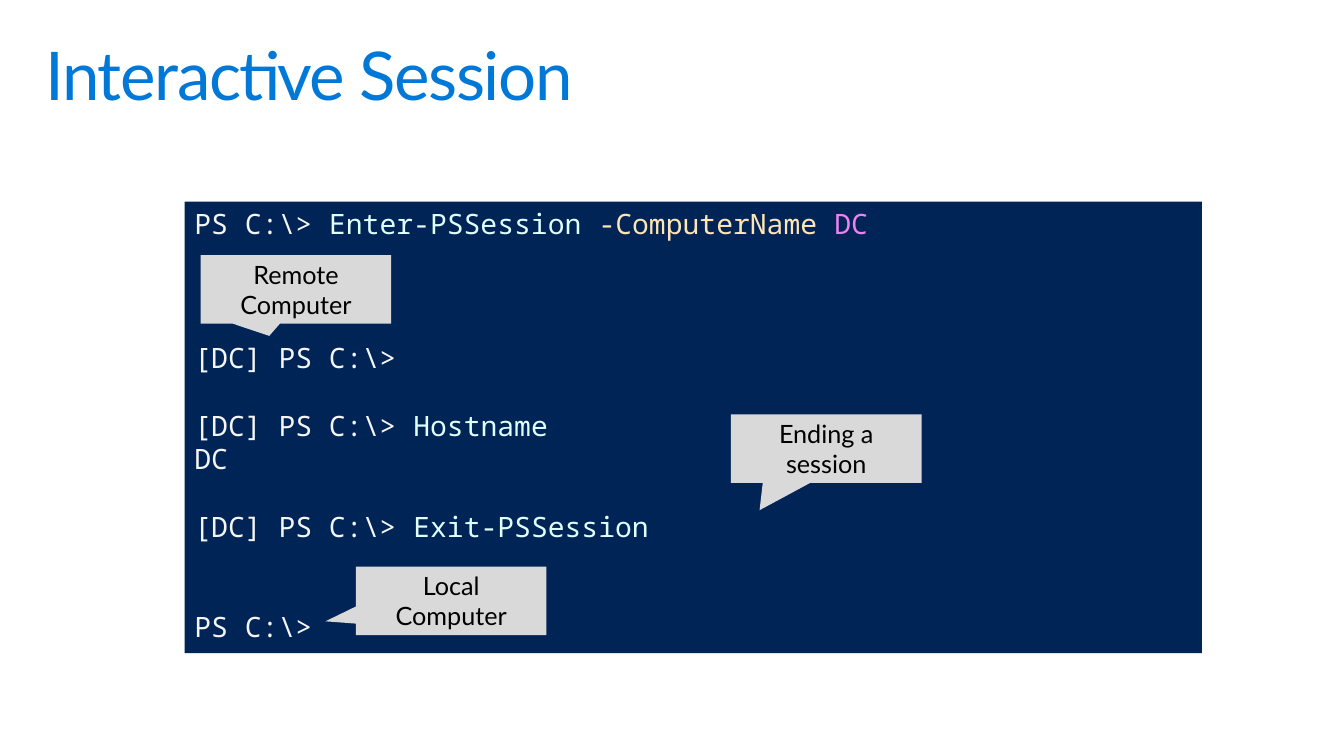
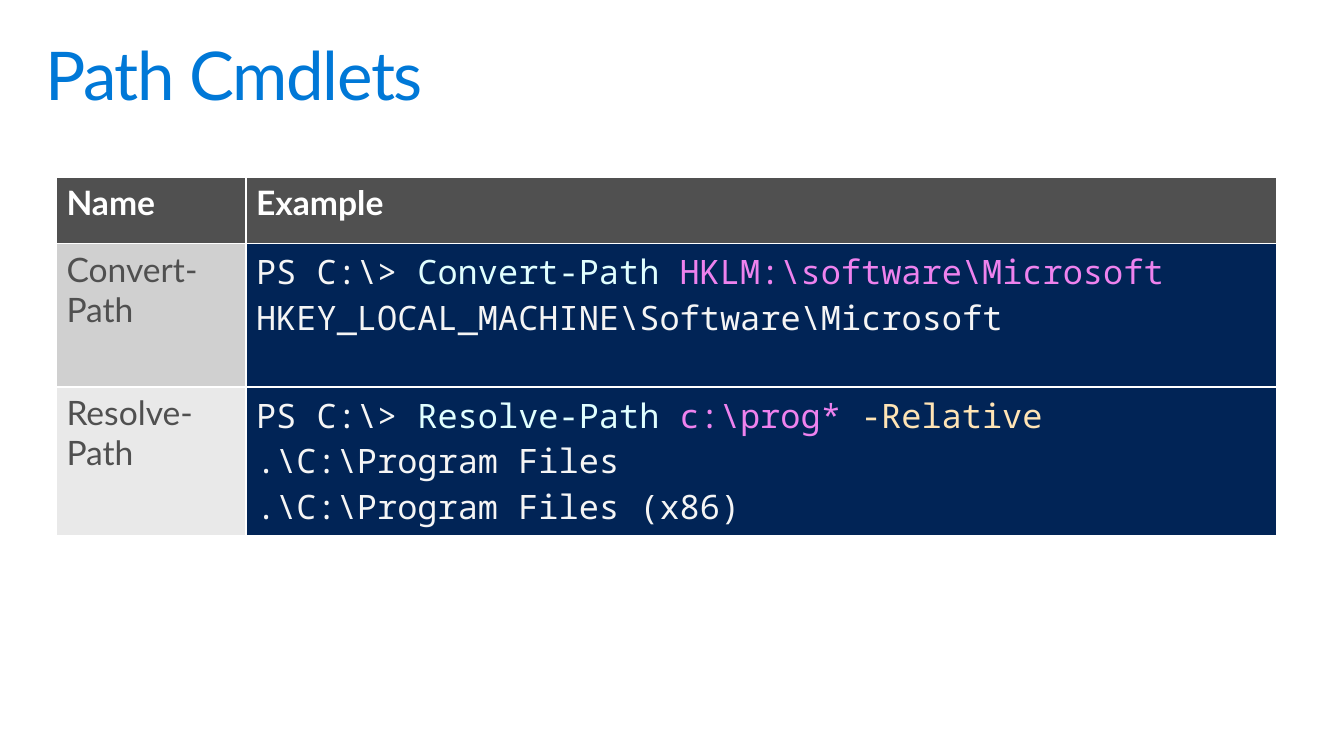
from dataclasses import dataclass
from typing import NamedTuple

from lxml import etree
from pptx import Presentation
from pptx.dml.color import RGBColor
from pptx.enum.shapes import MSO_SHAPE
from pptx.enum.text import MSO_ANCHOR, PP_ALIGN
from pptx.oxml.ns import qn
from pptx.util import Pt

RECT = MSO_SHAPE.RECTANGLE
CALLOUT = MSO_SHAPE.RECTANGULAR_CALLOUT
TOP, MIDDLE = MSO_ANCHOR.TOP, MSO_ANCHOR.MIDDLE
LEFT, CENTER = PP_ALIGN.LEFT, PP_ALIGN.CENTER

PX = 9144
SANS, MONO = "Lato", "Noto Sans Mono"
STEP = 24
TITLE_ONLY = 5
COLORS = {
    "title": "0078D7",
    "shell": "012456",
    "plain": "F5F5F5",
    "verb": "E0FFFF",
    "flag": "FFE4B5",
    "value": "EE82EE",
    "note": "D9D9D9",
    "black": "000000",
    "white": "FFFFFF",
    "gray": "505050",
    "band": "D0D0D0",
    "pale": "E9E9E9",
}


class Run(NamedTuple):
    text: str
    color: str = "plain"


@dataclass
class Line:
    runs: list[Run]
    blank: int = 0


@dataclass
class Note:
    text: str
    left: int
    top: int
    tip: tuple[float, float]


@dataclass
class Row:
    name: str
    fill: str
    height: int
    code: list[Line]


PROMPT = Run("PS C:\\> ")
REMOTE = Run("[DC] PS C:\\> ")

SESSION = [
    Line([PROMPT, Run("Enter-PSSession ", "verb"),
          Run("-ComputerName ", "flag"), Run("DC", "value")]),
    Line([Run("[DC] PS C:\\>")], blank=3),
    Line([REMOTE, Run("Hostname", "verb")], blank=1),
    Line([Run("DC")]),
    Line([REMOTE, Run("Exit-PSSession", "verb")], blank=1),
    Line([Run("PS C:\\>")], blank=2),
]
NOTES = [
    Note("Local Computer", 353, 562, (-0.66, 0.3)),
    Note("Remote Computer", 199, 253, (-0.14, 0.68)),
    Note("Ending a session", 725, 411, (-0.35, 0.9)),
]
ROWS = [
    Row("Convert-Path", "band", 142, [
        Line([PROMPT, Run("Convert-Path ", "verb"),
              Run("HKLM:\\software\\Microsoft", "value")]),
        Line([Run("HKEY_LOCAL_MACHINE\\Software\\Microsoft")]),
    ]),
    Row("Resolve-Path", "pale", 147, [
        Line([PROMPT, Run("Resolve-Path ", "verb"),
              Run("c:\\prog* ", "value"), Run("-Relative", "flag")]),
        Line([Run(".\\C:\\Program Files")]),
        Line([Run(".\\C:\\Program Files (x86)")]),
    ]),
]


def px(*sizes: int) -> list[int]:
    return [size * PX for size in sizes]


def rgb(name: str) -> RGBColor:
    return RGBColor.from_string(COLORS[name])


def paint(item, name: str) -> None:
    item.fill.solid()
    item.fill.fore_color.rgb = rgb(name)


def one(text: str, color: str) -> list[Line]:
    return [Line([Run(text, color)])]


def write(frame, lines: list[Line], *, size: int, font: str = SANS,
          bold: bool = False, align=LEFT, pitch=None, track: int = 0) -> None:
    frame.word_wrap = True
    for num, line in enumerate(lines):
        para = frame.add_paragraph() if num else frame.paragraphs[0]
        para.alignment = align
        para.space_before = Pt(line.blank * STEP)
        if pitch:
            para.line_spacing = pitch
        for part in line.runs:
            run = para.add_run()
            run.text = part.text
            run.font.size = Pt(size)
            run.font.name = font
            run.font.bold = bold
            run.font.color.rgb = rgb(part.color)
            if track:
                run.font._element.set("spc", str(track))


def add_slide(deck, title: str):
    slide = deck.slides.add_slide(deck.slide_layouts[TITLE_ONLY])
    head = slide.shapes.title
    head.left, head.top, head.width, head.height = px(29, 32, 1275, 98)
    frame = head.text_frame
    frame.margin_left, frame.margin_right = px(16, 16)
    frame.margin_top, frame.margin_bottom = px(10, 10)
    frame.vertical_anchor = TOP
    write(frame, one(title, "title"), size=48, pitch=0.9, track=-100)
    return slide


def add_box(slide, kind, box: tuple[int, int, int, int], fill: str, anchor):
    shape = slide.shapes.add_shape(kind, *px(*box))
    shape.shadow.inherit = False
    paint(shape, fill)
    shape.line.fill.background()
    shape.text_frame.vertical_anchor = anchor
    return shape


def add_note(slide, note: Note) -> None:
    box = (note.left, note.top, 189, 68)
    shape = add_box(slide, CALLOUT, box, "note", MIDDLE)
    shape.adjustments[0], shape.adjustments[1] = note.tip
    write(shape.text_frame, one(note.text, "black"), size=18, align=CENTER)


def add_edges(cell) -> None:
    props = cell._tc.get_or_add_tcPr()
    for num, side in enumerate(("lnL", "lnR", "lnT", "lnB")):
        edge = etree.Element(qn(f"a:{side}"), w=str(Pt(1)))
        fill = etree.SubElement(edge, qn("a:solidFill"))
        etree.SubElement(fill, qn("a:srgbClr"), val=COLORS["white"])
        props.insert(num, edge)


def fill_cell(cell, lines: list[Line], fill: str, **form) -> None:
    paint(cell, fill)
    add_edges(cell)
    write(cell.text_frame, lines, size=24, **form)


def add_grid(slide) -> None:
    sizes = [66] + [row.height for row in ROWS]
    box = px(56, 176, 1210, sum(sizes))
    grid = slide.shapes.add_table(len(sizes), 2, *box).table
    grid.first_row = grid.horz_banding = False
    for col, width in zip(grid.columns, px(188, 1022)):
        col.width = width
    for row, height in zip(grid.rows, px(*sizes)):
        row.height = height
    for col, label in enumerate(("Name", "Example")):
        fill_cell(grid.cell(0, col), one(label, "white"), "gray", bold=True)
    for num, row in enumerate(ROWS, 1):
        fill_cell(grid.cell(num, 0), one(row.name, "gray"), row.fill)
        fill_cell(grid.cell(num, 1), row.code, "shell", font=MONO)


def main() -> None:
    deck = Presentation()
    deck.slide_width, deck.slide_height = px(1333, 750)

    slide = add_slide(deck, "Interactive Session")
    shell = add_box(slide, RECT, (183, 200, 1009, 448), "shell", TOP)
    write(shell.text_frame, SESSION, size=20, font=MONO, pitch=Pt(STEP))
    for note in NOTES:
        add_note(slide, note)

    add_grid(add_slide(deck, "Path Cmdlets"))
    deck.save("out.pptx")


if __name__ == "__main__":
    main()
